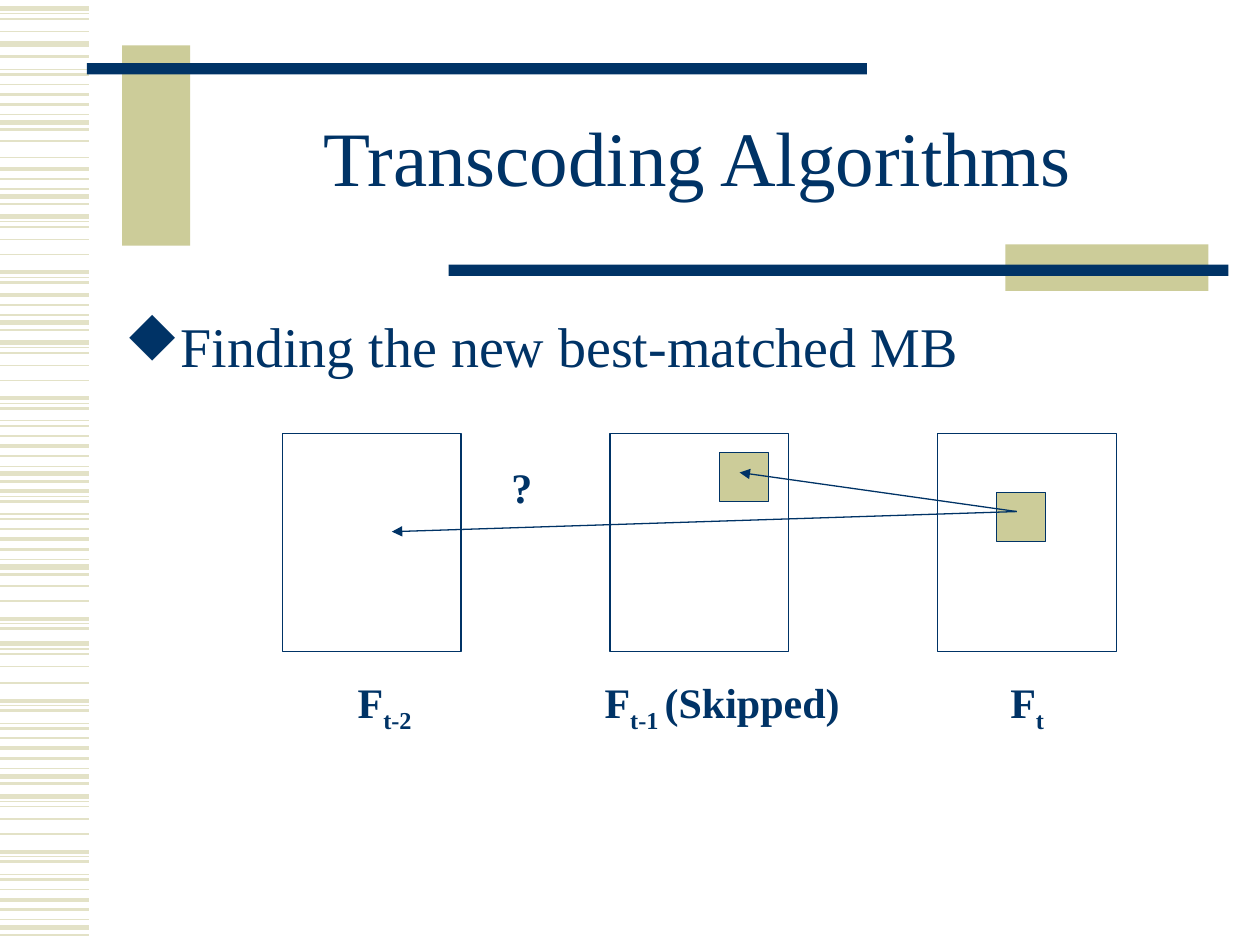
from typing import NamedTuple

from lxml.etree import SubElement
from pptx import Presentation
from pptx.dml.color import RGBColor
from pptx.enum.shapes import MSO_CONNECTOR, MSO_SHAPE
from pptx.enum.text import MSO_ANCHOR, MSO_AUTO_SIZE, PP_ALIGN
from pptx.oxml.ns import qn
from pptx.util import Emu, Pt

EMU_PER_PX = 9144
NAVY, KHAKI, PALE, WHITE = "003366", "CCCC99", "E3E2C7", "FFFFFF"
FONT = "Times New Roman"
BULLET_FONT, BULLET_DIAMOND = "Wingdings", "u"


class Box(NamedTuple):
    """A rectangle in px."""

    left: int
    top: int
    width: int
    height: int


class Bar(NamedTuple):
    """A filled rectangle without outline."""

    box: Box
    color: str


class Stripe(NamedTuple):
    """A margin line: offset in px and weight in points."""

    offset: int
    weight: float


class Motif(NamedTuple):
    """A set of stripes repeated from several starting heights."""

    starts: tuple[int, ...]
    stripes: tuple[Stripe, ...]


class Label(NamedTuple):
    """A bold caption: base text, subscript and trailing text."""

    box: Box
    base: str
    subscript: str = ""
    trailing: str = ""


MOTIFS = [
    Motif((7, 172, 272, 511, 632), (Stripe(0, 3), Stripe(4, 0.75), Stripe(8, 1), Stripe(18, 1))),
    Motif((216, 316, 390, 491, 556, 676), (Stripe(0, 2.25), Stripe(4, 0.75), Stripe(8, 1.5))),
    Motif((55, 334, 408, 574, 694), (Stripe(0, 0.75), Stripe(4, 1.5), Stripe(12, 1))),
    Motif(
        (75, 134, 234, 354, 428, 594, 714),
        (Stripe(0, 2.25), Stripe(8, 1.5), Stripe(16, 0.75), Stripe(22, 3), Stripe(28, 1.5)),
    ),
    Motif((112, 125, 202, 302, 465, 477, 542, 662), (Stripe(0, 1),)),
    Motif((35,), (Stripe(0, 3), Stripe(10, 1.5))),
]
BARS = [
    Bar(Box(97, 36, 54, 159), KHAKI),
    Bar(Box(69, 50, 619, 9), NAVY),
    Bar(Box(798, 194, 161, 37), KHAKI),
    Bar(Box(356, 210, 619, 9), NAVY),
]
FRAMES = [Box(224 + 260 * index, 344, 142, 173) for index in range(3)]
MACROBLOCKS = [Box(571, 359, 39, 39), Box(791, 391, 39, 39)]
VECTOR_START = (807, 406)
VECTOR_ENDS = [(587, 375), (311, 422)]
LABELS = [
    Label(Box(396, 361, 36, 50), "?"),
    Label(Box(792, 532, 47, 56), "F", "t"),
    Label(Box(470, 532, 210, 56), "F", "t-1 ", "(Skipped)"),
    Label(Box(274, 532, 63, 56), "F", "t-2"),
]


def px(length: int) -> Emu:
    """Turn px into EMU."""
    return Emu(length * EMU_PER_PX)


def rgb(color: str) -> RGBColor:
    """Turn a hex string into a colour."""
    return RGBColor.from_string(color)


def add_rectangle(page, box: Box, fill: str, outline: str = "") -> None:
    """Draw a filled rectangle, outlined when a colour is given."""
    shape = page.shapes.add_shape(MSO_SHAPE.RECTANGLE, *map(px, box))
    shape.shadow.inherit = False
    shape.fill.solid()
    shape.fill.fore_color.rgb = rgb(fill)
    if outline:
        shape.line.color.rgb = rgb(outline)
        shape.line.width = Pt(0.75)
    else:
        shape.line.fill.background()


def add_line(page, start: tuple[int, int], end: tuple[int, int], color: str, weight: float, arrow: bool = False) -> None:
    """Draw a straight line, with an arrowhead at its end on request."""
    line = page.shapes.add_connector(MSO_CONNECTOR.STRAIGHT, *map(px, start + end))
    line.line.color.rgb = rgb(color)
    line.line.width = Pt(weight)
    if arrow:
        SubElement(line.line._get_or_add_ln(), qn("a:tailEnd"), type="triangle")
    SubElement(line._element.spPr, qn("a:effectLst"))


def add_text(page, box: Box, text: str, size: int, wrap: bool = True):
    """Add a text box and return its text frame."""
    frame = page.shapes.add_textbox(*map(px, box)).text_frame
    frame.word_wrap = wrap
    frame.text = text
    format_span(frame.paragraphs[0].runs[0], size)
    return frame


def format_span(span, size: int, bold: bool = False) -> None:
    """Set the typeface of a run."""
    span.font.name = FONT
    span.font.size = Pt(size)
    span.font.bold = bold
    span.font.color.rgb = rgb(NAVY)


def add_label(page, label: Label) -> None:
    """Add a bold caption with an optional subscript."""
    frame = add_text(page, label.box, label.base, 24, wrap=False)
    frame.auto_size = MSO_AUTO_SIZE.SHAPE_TO_FIT_TEXT
    para = frame.paragraphs[0]
    for text in filter(None, (label.subscript, label.trailing)):
        para.add_run().text = text
    for span in para.runs:
        format_span(span, 24, bold=True)
    if label.subscript:
        para.runs[1].font._element.set("baseline", "-25000")


def add_title(page) -> None:
    """Add the centred heading."""
    frame = add_text(page, Box(150, 67, 807, 125), "Transcoding Algorithms", 44)
    frame.vertical_anchor = MSO_ANCHOR.MIDDLE
    frame.paragraphs[0].alignment = PP_ALIGN.CENTER
    frame.paragraphs[0].line_spacing = 0.85


def add_bullet(page) -> None:
    """Add the statement with its diamond bullet."""
    frame = add_text(page, Box(89, 242, 870, 424), "Finding the new best-matched MB", 32)
    para = frame.paragraphs[0]
    para.space_before = Pt(8)
    properties = para._p.get_or_add_pPr()
    properties.set("marL", str(px(38)))
    properties.set("indent", str(px(-38)))
    bullet_color = SubElement(properties, qn("a:buClr"))
    SubElement(bullet_color, qn("a:srgbClr"), val=NAVY)
    SubElement(properties, qn("a:buFont"), typeface=BULLET_FONT, charset="2")
    SubElement(properties, qn("a:buChar"), char=BULLET_DIAMOND)


def main() -> None:
    """Build the slide and save it."""
    deck = Presentation()
    deck.slide_width, deck.slide_height = px(1000), px(750)
    page = deck.slides.add_slide(deck.slide_layouts[6])
    for motif in MOTIFS:
        for start in motif.starts:
            for stripe in motif.stripes:
                height = start + stripe.offset
                add_line(page, (0, height), (71, height), PALE, stripe.weight)
    for bar in BARS:
        add_rectangle(page, bar.box, bar.color)
    add_title(page)
    add_bullet(page)
    for box in FRAMES:
        add_rectangle(page, box, WHITE, NAVY)
    for box in MACROBLOCKS:
        add_rectangle(page, box, KHAKI, NAVY)
    for end in VECTOR_ENDS:
        add_line(page, VECTOR_START, end, NAVY, 0.75, arrow=True)
    for label in LABELS:
        add_label(page, label)
    deck.save("out.pptx")


if __name__ == "__main__":
    main()
